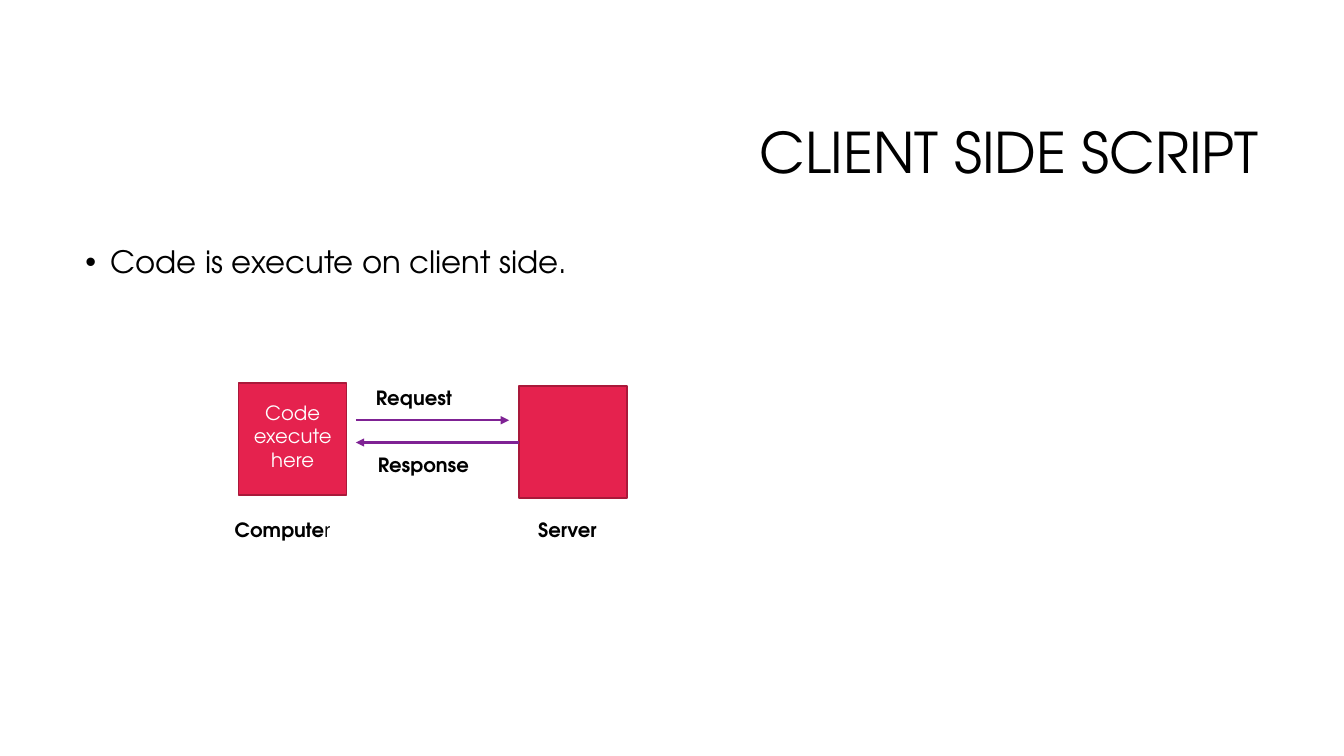
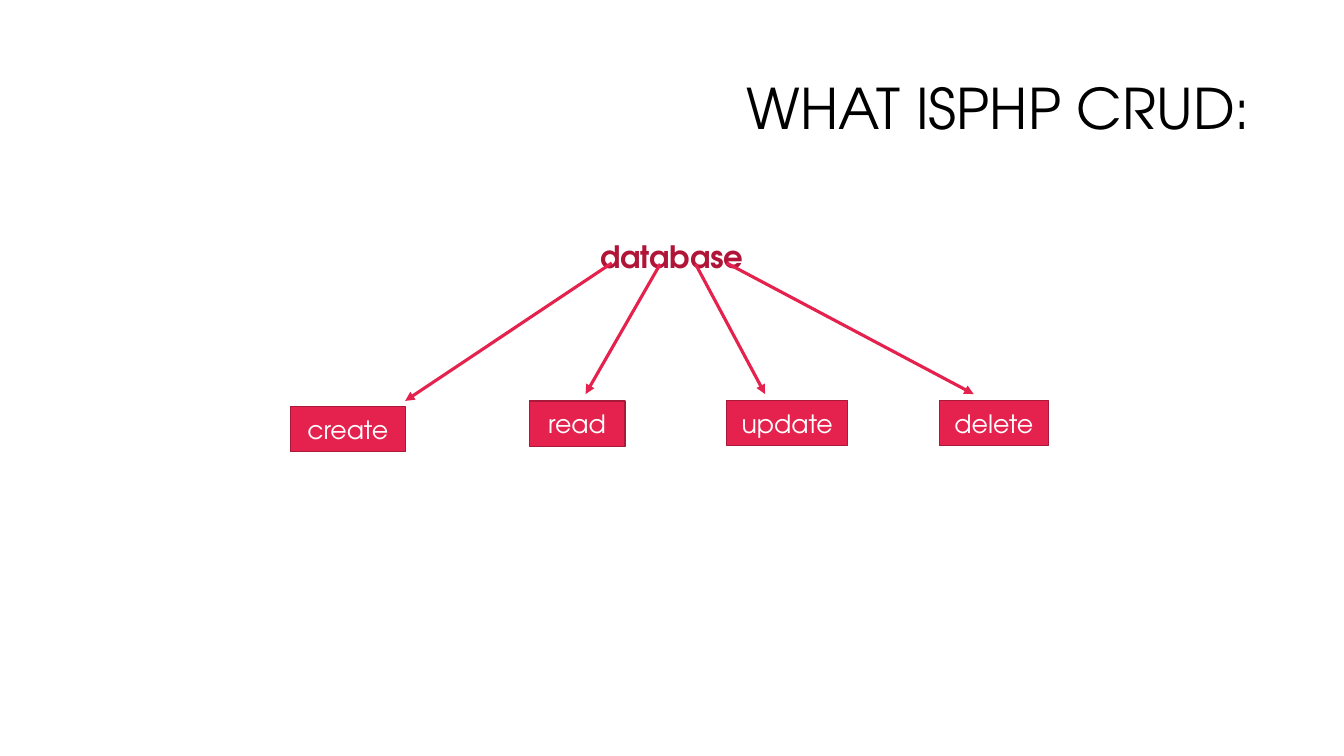
from pptx import Presentation
from pptx.dml.color import RGBColor
from pptx.enum.shapes import MSO_CONNECTOR, MSO_SHAPE
from pptx.enum.text import MSO_ANCHOR, PP_ALIGN
from pptx.oxml.ns import qn
from pptx.util import Pt
from lxml.etree import SubElement

# Shared style
FONT = "TeX Gyre Adventor"
BLACK, WHITE = "000000", "FFFFFF"
RED, EDGE, DARK, PURPLE = "E5224E", "A9193A", "B01538", "7F2294"

# Client side script: lengths in points
POINT = "Code is execute on client side."
HOSTS = [  # text, left, top
    ("Code execute here", 170.6, 273.6),
    ("", 370.8, 275.8),
]
HOST_W, HOST_H = 77, 80
LABELS = [  # runs as (text, bold), left, top, width
    ([("Compute", True), ("r", False)], 160.6, 366.5, 94),
    ([("Server", True)], 377.3, 366.5, 64),
    ([("Request", True)], 261.4, 272.2, 94),
    ([("Response", True)], 262.8, 319.7, 94),
]
CALLS = [((254.2, 300.2), (363.6, 300.2)), ((370.8, 316.1), (254.2, 316.1))]

# CRUD tree
ROOT = "database"
ACTIONS = [  # text, left, top, width
    ("create", 207.4, 290.2, 82.1),
    ("read", 378, 286.4, 68.4),
    ("update", 519.1, 286, 86.4),
    ("delete", 671, 286, 77.8),
]
ACTION_H = 32.4
BRANCHES = [
    ((437, 187.9), (289.4, 286.4)),
    ((471.6, 188.6), (418.3, 281.5)),
    ((496.8, 188.6), (546.5, 281.5)),
    ((519.1, 187.9), (695.5, 281.5)),
]


def rgb(code):
    return RGBColor.from_string(code)


def write(para, text, size, color=BLACK, bold=False):
    run = para.add_run()
    run.text = text
    font = run.font
    font.name, font.size, font.bold = FONT, Pt(size), bold
    font.color.rgb = rgb(color)


def place(shape, left, top, width, height):
    shape.left, shape.top = Pt(left), Pt(top)
    shape.width, shape.height = Pt(width), Pt(height)


def add_page(deck, title, left, top, height):
    page = deck.slides.add_slide(deck.slide_layouts[5])
    head = page.shapes.title
    place(head, left, top, 678.2, height)
    frame = head.text_frame
    frame.vertical_anchor = MSO_ANCHOR.MIDDLE
    para = frame.paragraphs[0]
    para.alignment, para.line_spacing = PP_ALIGN.RIGHT, 0.9
    write(para, title, 40)
    return page


def add_text(page, left, top, width, height):
    box = page.shapes.add_textbox(Pt(left), Pt(top), Pt(width), Pt(height))
    box.text_frame.word_wrap = True
    return box.text_frame.paragraphs[0]


def add_box(page, text, size, left, top, width, height, foot=3.6):
    box = page.shapes.add_shape(
        MSO_SHAPE.RECTANGLE, Pt(left), Pt(top), Pt(width), Pt(height))
    box.shadow.inherit = False
    box.fill.solid()
    box.fill.fore_color.rgb = rgb(RED)
    box.line.color.rgb = rgb(EDGE)
    box.line.width = Pt(1)
    frame = box.text_frame
    frame.word_wrap = True
    frame.vertical_anchor = MSO_ANCHOR.MIDDLE
    frame.margin_bottom = Pt(foot)
    if text:
        para = frame.paragraphs[0]
        para.alignment = PP_ALIGN.CENTER
        write(para, text, size, WHITE)


def add_arrow(page, start, end, color, width):
    ends = [Pt(v) for v in start + end]
    arrow = page.shapes.add_connector(MSO_CONNECTOR.STRAIGHT, *ends)
    arrow.line.color.rgb = rgb(color)
    arrow.line.width = Pt(width)
    SubElement(arrow.line._get_or_add_ln(), qn("a:tailEnd"), type="triangle")
    SubElement(arrow._element.spPr, qn("a:effectLst"))


def add_client(deck):
    page = add_page(deck, "CLIENT SIDE SCRIPT", 228.2, 60.5, 101.5)
    # Bullet with a hanging indent
    para = add_text(page, 54, 172.8, 851.8, 316.8)
    para.line_spacing = 0.9
    props = para._p.get_or_add_pPr()
    props.set("marL", str(Pt(18)))
    props.set("indent", str(-Pt(18)))
    SubElement(props, qn("a:buFont"), typeface="Arial")
    SubElement(props, qn("a:buChar"), char="•")
    write(para, POINT, 22)
    # Request and response diagram
    for text, left, top in HOSTS:
        add_box(page, text, 14, left, top, HOST_W, HOST_H, foot=8)
    for start, end in CALLS:
        add_arrow(page, start, end, PURPLE, 1.5)
    for runs, left, top, width in LABELS:
        para = add_text(page, left, top, width, 24.2)
        for text, bold in runs:
            write(para, text, 14, bold=bold)


def add_crud(deck):
    page = add_page(deck, "WHAT ISPHP CRUD:", 222.2, 36, 87.1)
    para = add_text(page, 54, 166, 851.8, 36)
    para.alignment = PP_ALIGN.CENTER
    write(para, ROOT, 22, DARK, True)
    # Actions under the root
    for text, left, top, width in ACTIONS:
        add_box(page, text, 18, left, top, width, ACTION_H)
    for start, end in BRANCHES:
        add_arrow(page, start, end, RED, 2.25)


def main():
    deck = Presentation()
    deck.slide_width, deck.slide_height = Pt(960), Pt(540)
    add_client(deck)
    add_crud(deck)
    deck.save("out.pptx")


if __name__ == "__main__":
    main()
